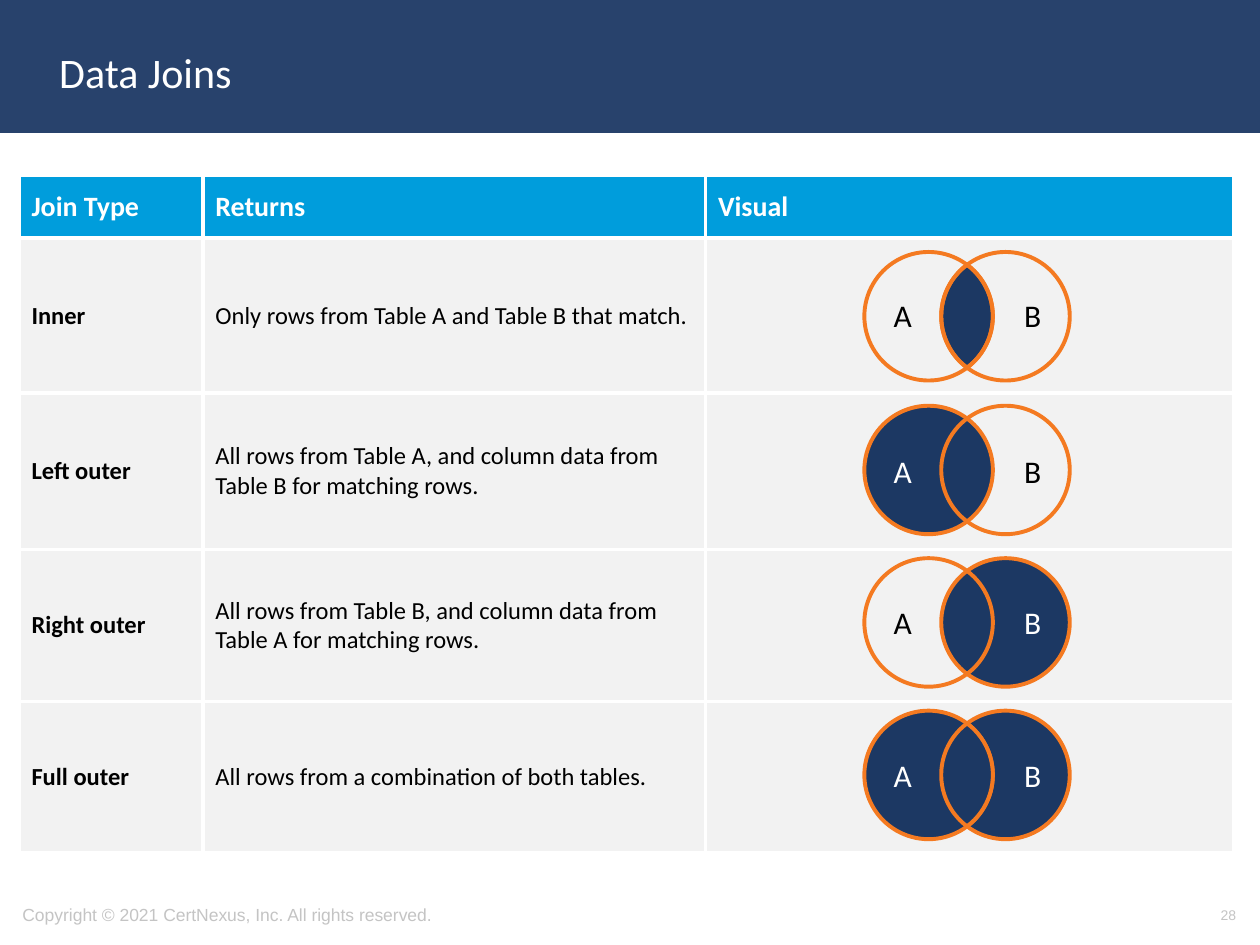
"""Build a slide that compares four data joins in a table with Venn diagrams."""
import math
from dataclasses import dataclass
from typing import Any, Optional

import lxml.etree
import pptx
import pptx.dml.color
import pptx.enum.shapes
import pptx.enum.text
import pptx.oxml.ns
import pptx.util

Inches = pptx.util.Inches
Pt = pptx.util.Pt
Align = pptx.enum.text.PP_ALIGN
Anchor = pptx.enum.text.MSO_ANCHOR
Shape = pptx.enum.shapes.MSO_SHAPE
qn = pptx.oxml.ns.qn

COLORS = {
    "band": "28426C", "header": "009DDC", "cell": "F2F2F2", "set": "1C3863",
    "ring": "F47A21", "white": "FFFFFF", "black": "000000", "footer": "C4C4C4",
}
DIAMETER = 1.02
CIRCLE_LEFT = {"A": 6.86, "B": 7.47}
LABEL_LEFT = {"A": 6.76, "B": 7.79}
COLUMN_WIDTHS = [1.46, 3.99, 4.19]
ROW_HEIGHTS = [0.5, 1.23, 1.24, 1.21, 1.2]
HEADINGS = ["Join Type", "Returns", "Visual"]


@dataclass
class Join:
    """A join type, its result and how its diagram is drawn."""
    name: str
    returns: str
    top: float
    label_top: float
    order: str
    filled: str
    lens: Optional[str] = None


JOINS = [
    Join("Inner", "Only rows from Table A and Table B that match.",
         2.0, 2.3, "AB", "", "back"),
    Join("Left outer", "All rows from Table A, and column data from Table B for matching rows.",
         3.22, 3.54, "AB", "A"),
    Join("Right outer", "All rows from Table B, and column data from Table A for matching rows.",
         4.43, 4.74, "BA", "B"),
    Join("Full outer", "All rows from a combination of both tables.",
         5.64, 5.95, "BA", "AB", "front"),
]


def rgb(name: str) -> pptx.dml.color.RGBColor:
    """Return the named colour."""
    return pptx.dml.color.RGBColor.from_string(COLORS[name])


def write(frame: Any, text: str, size: float, color: str, font: str = "Calibri",
          bold: bool = False, align: Any = Align.LEFT) -> None:
    """Write one run into the first paragraph of a frame."""
    para = frame.paragraphs[0]
    para.alignment = align
    span = para.add_run()
    span.text = text
    span.font.name = font
    span.font.size = Pt(size)
    span.font.bold = bold
    span.font.color.rgb = rgb(color)


def add_text(shapes: Any, left: float, top: float, width: float, height: float) -> Any:
    """Add a wrapping text box and return its frame."""
    box = shapes.add_textbox(Inches(left), Inches(top), Inches(width), Inches(height))
    box.text_frame.word_wrap = True
    return box.text_frame


def paint(shape: Any, fill: Optional[str], line: str, width: float) -> None:
    """Give a shape its fill and outline without a shadow."""
    shape.shadow.inherit = False
    if fill:
        shape.fill.solid()
        shape.fill.fore_color.rgb = rgb(fill)
    else:
        shape.fill.background()
    shape.line.color.rgb = rgb(line)
    shape.line.width = Pt(width)


def add_lens(shapes: Any, top: float) -> None:
    """Draw the overlap of the two circles."""
    radius = DIAMETER / 2
    half_gap = (CIRCLE_LEFT["B"] - CIRCLE_LEFT["A"]) / 2
    reach = math.acos(half_gap / radius)
    middle_x = CIRCLE_LEFT["A"] + radius + half_gap
    steps = 24
    points = []
    for side in (1, -1):
        for step in range(steps):
            angle = reach * (2 * step / steps - 1)
            x = middle_x + side * (radius * math.cos(angle) - half_gap)
            y = top + radius + side * radius * math.sin(angle)
            points.append((Inches(x), Inches(y)))
    builder = shapes.build_freeform(*points[0])
    builder.add_line_segments(points[1:], close=True)
    paint(builder.convert_to_shape(), "set", "ring", 2.25)


def add_diagram(slide: Any, join: Join) -> None:
    """Draw the Venn diagram of a join as one group."""
    shapes = slide.shapes.add_group_shape().shapes
    if join.lens == "back":
        add_lens(shapes, join.top)
    for name in join.order:
        circle = shapes.add_shape(Shape.OVAL, Inches(CIRCLE_LEFT[name]), Inches(join.top),
                                  Inches(DIAMETER), Inches(DIAMETER))
        paint(circle, "set" if name in join.filled else None, "ring", 2.25)
    if join.lens == "front":
        add_lens(shapes, join.top)
    for name, left in LABEL_LEFT.items():
        frame = add_text(shapes, left, join.label_top, 0.81, 0.4)
        frame.auto_size = pptx.enum.text.MSO_AUTO_SIZE.SHAPE_TO_FIT_TEXT
        write(frame, name, 18, "white" if name in join.filled else "black", align=Align.CENTER)


def format_cell(cell: Any, fill: str) -> None:
    """Give a cell white borders, a fill and a middle anchor."""
    properties = cell._tc.get_or_add_tcPr()
    for side in ("a:lnL", "a:lnR", "a:lnT", "a:lnB"):
        border = lxml.etree.SubElement(properties, qn(side), w=str(Pt(2.25)))
        solid = lxml.etree.SubElement(border, qn("a:solidFill"))
        lxml.etree.SubElement(solid, qn("a:srgbClr"), val=COLORS["white"])
    cell.fill.solid()
    cell.fill.fore_color.rgb = rgb(fill)
    cell.vertical_anchor = Anchor.MIDDLE


def add_join_table(slide: Any) -> None:
    """Add the table of join types."""
    rows = [HEADINGS] + [[join.name, join.returns, ""] for join in JOINS]
    table = slide.shapes.add_table(
        len(rows), len(HEADINGS), Inches(0.15), Inches(1.39),
        Inches(sum(COLUMN_WIDTHS)), Inches(sum(ROW_HEIGHTS))).table
    table.horz_banding = False
    for column, width in zip(table.columns, COLUMN_WIDTHS):
        column.width = Inches(width)
    for row_index, texts in enumerate(rows):
        table.rows[row_index].height = Inches(ROW_HEIGHTS[row_index])
        header = row_index == 0
        for column_index, text in enumerate(texts):
            cell = table.cell(row_index, column_index)
            format_cell(cell, "header" if header else "cell")
            if text:
                write(cell.text_frame, text, 16 if header else 14,
                      "white" if header else "black", bold=header or column_index == 0)


def add_frame(slide: Any) -> None:
    """Add the title band, the title and the footer."""
    title = slide.shapes.title
    title.left, title.top = Inches(0.37), Inches(0.11)
    title.width, title.height = Inches(8.62), Inches(0.92)
    title.text_frame.vertical_anchor = Anchor.MIDDLE
    write(title.text_frame, "Data Joins", 24, "white")
    band = slide.shapes.add_shape(Shape.RECTANGLE, 0, 0, Inches(10), Inches(1.04))
    paint(band, "band", "band", 2)
    title.element.addprevious(band.element)
    copyright_frame = add_text(slide.shapes, 0.08, 7.06, 5.27, 0.4)
    write(copyright_frame, "Copyright © 2021 CertNexus, Inc. All rights reserved.",
          10, "footer", "Arial")
    number_frame = add_text(slide.shapes, 7.58, 7.06, 2.33, 0.4)
    write(number_frame, "28", 8, "footer", "Arial", align=Align.RIGHT)
    for frame in (copyright_frame, number_frame):
        frame.vertical_anchor = Anchor.MIDDLE


def main() -> None:
    """Build and save the deck."""
    deck = pptx.Presentation()
    deck.slide_width, deck.slide_height = Inches(10), Inches(7.5)
    slide = deck.slides.add_slide(deck.slide_layouts[5])
    add_frame(slide)
    add_join_table(slide)
    for join in JOINS:
        add_diagram(slide, join)
    deck.save("out.pptx")


if __name__ == "__main__":
    main()
